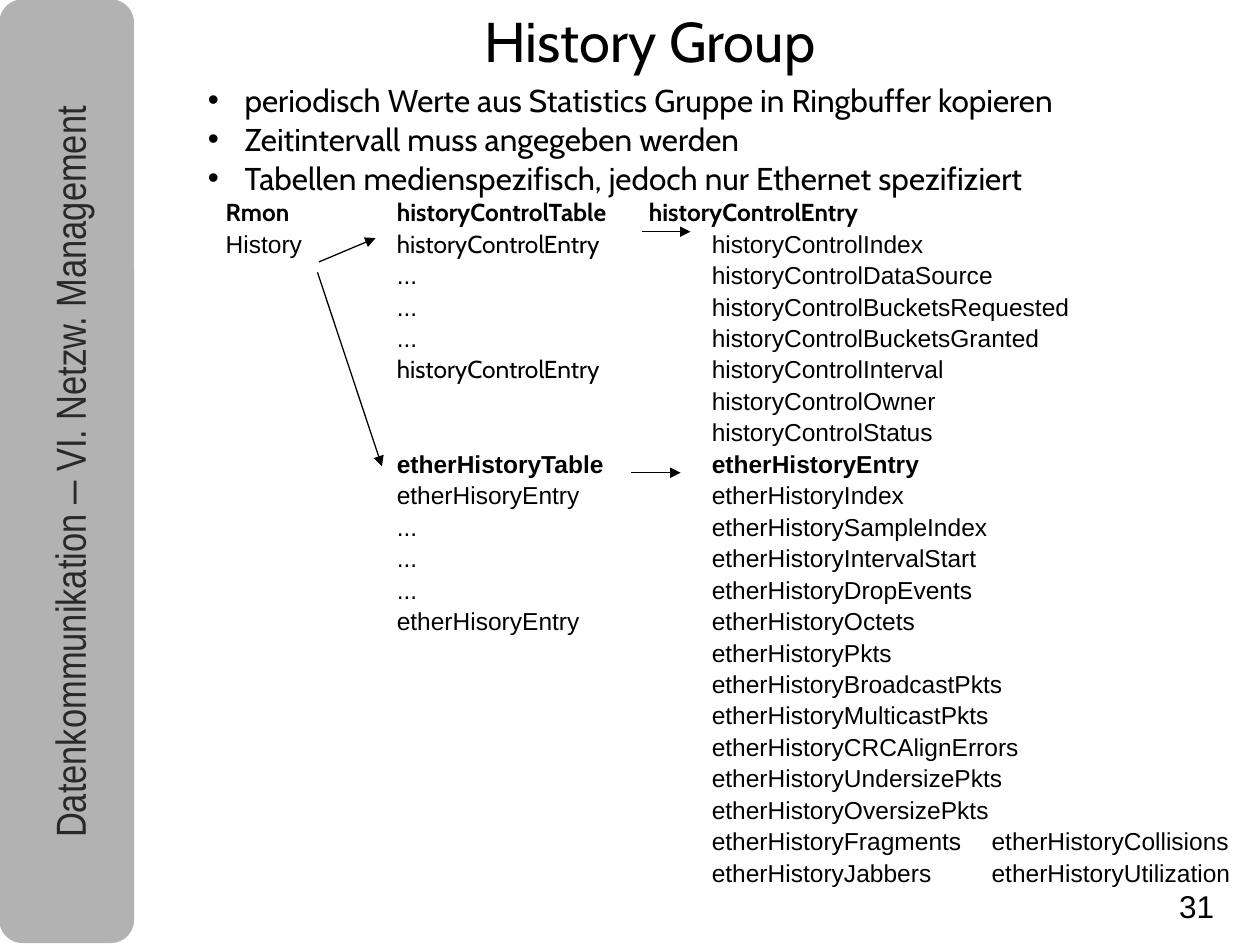
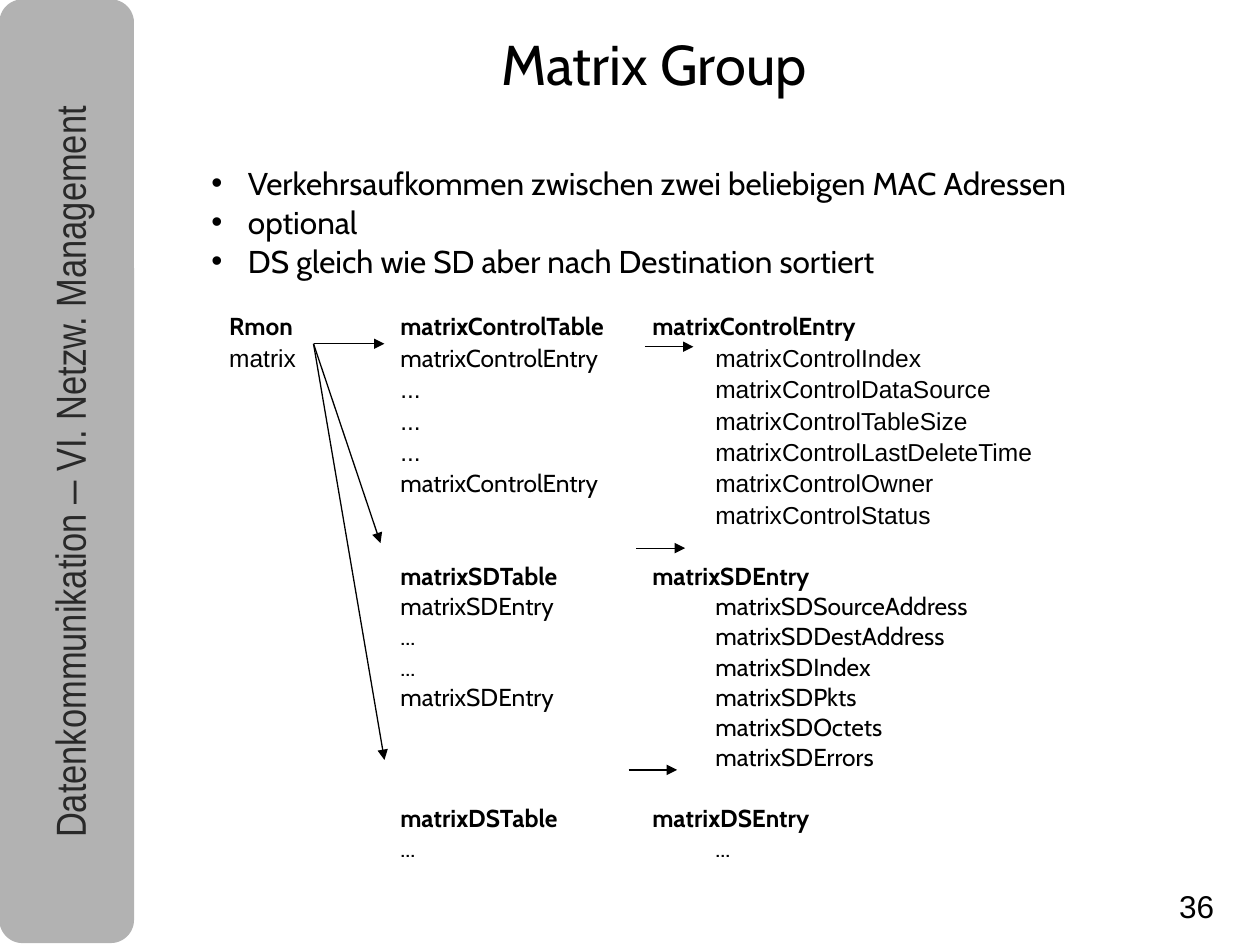
"""Builds two slides on RMON groups: bullets, tabbed table columns and arrows."""
import dataclasses
import itertools

import lxml.etree
import pptx
import pptx.dml.color
import pptx.enum.shapes
import pptx.enum.text
import pptx.oxml.ns
import pptx.util

Cm = pptx.util.Cm
Pt = pptx.util.Pt
ALIGN = pptx.enum.text.PP_ALIGN

CABIN, ARIAL, NARROW = "Cabin", "Arial", "Arial Narrow"
BLACK, GREY, DARK_GREY = "000000", "B2B2B2", "292929"
LINE_SPACING = {CABIN: 1.03, ARIAL: 1.07}
SLIDE_WIDTH, SLIDE_HEIGHT = 25.4, 19.05
BAND_WIDTH, BAND_HEIGHT = 2.69, 19
BULLET_INDENT = 0.74
# Columns: label, table, entry heading, entry, second entry
COLUMN_STOPS = (0.36, 3.81, 8.89, 10.16, 15.8)
GROUP_GAP = 17.5
DOTS = "..."


@dataclasses.dataclass
class Group:
    """A bold heading row with the table lines and entry lines below it."""
    heading: str
    table_lines: list
    entries: list
    name_font: str = CABIN
    entry_font: str = ARIAL
    label: str = ""
    gap: float = 0


def color(hex_string):
    """Turn a hex string into a colour."""
    return pptx.dml.color.RGBColor.from_string(hex_string)


def add_element(parent, tag, **attributes):
    """Append a drawing element with the given attributes."""
    element = lxml.etree.SubElement(parent, pptx.oxml.ns.qn(tag))
    for name, value in attributes.items():
        element.set(name, str(value))
    return element


def write(paragraph, text, font=CABIN, size=14, bold=False, hex_color=BLACK):
    """Add a formatted run to a paragraph."""
    run = paragraph.add_run()
    run.text = text
    run.font.name = font
    run.font.size = Pt(size)
    run.font.bold = bold
    run.font.color.rgb = color(hex_string=hex_color)


def add_text_box(slide, left, top, width, height, margins=(0.25, 0.13), wrap=True):
    """Add an empty text box and return its shape."""
    shape = slide.shapes.add_textbox(Cm(left), Cm(top), Cm(width), Cm(height))
    frame = shape.text_frame
    frame.word_wrap = wrap
    frame.margin_left = frame.margin_right = Cm(margins[0])
    frame.margin_top = frame.margin_bottom = Cm(margins[1])
    return shape


def add_band(slide):
    """Add the grey band at the left with the rotated chapter name."""
    band = slide.shapes.add_shape(
        pptx.enum.shapes.MSO_SHAPE.ROUNDED_RECTANGLE,
        0, 0, Cm(BAND_WIDTH), Cm(BAND_HEIGHT))
    band.adjustments[0] = 0.17
    band.shadow.inherit = False
    band.fill.solid()
    band.fill.fore_color.rgb = color(GREY)
    band.line.color.rgb = color(GREY)
    band.line.width = Pt(0.74)

    chapter = add_text_box(slide, -7.44, 8.26, BAND_HEIGHT, 2.51)
    chapter.rotation = 270
    paragraph = chapter.text_frame.paragraphs[0]
    paragraph.alignment = ALIGN.CENTER
    paragraph.line_spacing = 0.98
    paragraph.space_before = Pt(13)
    for text, font in (("Datenkommunikation ", NARROW), ("–", ARIAL),
                       (" VI. Netzw. Management", NARROW)):
        write(paragraph, text, font=font, size=24, hex_color=DARK_GREY)


def add_title(slide, text, left, top, width):
    """Add the slide title."""
    frame = add_text_box(slide, left, top, width, 1.6, wrap=False).text_frame
    frame.vertical_anchor = pptx.enum.text.MSO_ANCHOR.MIDDLE
    frame.paragraphs[0].alignment = ALIGN.CENTER
    write(frame.paragraphs[0], text, size=32)


def add_page_number(slide, number):
    """Add the page number at the bottom right."""
    shape = add_text_box(slide, 23.77, 17.91, 1.27, 0.84, margins=(0, 0))
    paragraph = shape.text_frame.paragraphs[0]
    paragraph.line_spacing = 0.99
    write(paragraph, str(number), font=ARIAL, size=18)


def add_bullets(frame, bullets):
    """Fill a new text frame with bulleted paragraphs."""
    for index, text in enumerate(bullets):
        paragraph = frame.add_paragraph() if index else frame.paragraphs[0]
        paragraph.line_spacing = LINE_SPACING[CABIN] if index else 1.0
        properties = paragraph._p.get_or_add_pPr()
        properties.set("marL", str(Cm(BULLET_INDENT)))
        properties.set("indent", str(-Cm(BULLET_INDENT)))
        bullet_color = add_element(properties, "a:buClr")
        add_element(bullet_color, "a:srgbClr", val=BLACK)
        add_element(properties, "a:buFont", typeface=ARIAL)
        add_element(properties, "a:buChar", char="•")
        write(paragraph, text, size=18)


def add_row(frame, font):
    """Add a paragraph that has the column tab stops."""
    paragraph = frame.add_paragraph()
    paragraph.line_spacing = LINE_SPACING[font]
    tabs = add_element(paragraph._p.get_or_add_pPr(), "a:tabLst")
    for stop in COLUMN_STOPS:
        add_element(tabs, "a:tab", pos=Cm(stop), algn="l")
    return paragraph


def add_group(frame, group):
    """Add the heading row of a group and the rows below it."""
    heading = add_row(frame, group.name_font)
    heading.space_before = Pt(group.gap)
    write(heading, group.heading, font=group.name_font, bold=True)
    lines = itertools.zip_longest(group.table_lines, group.entries, fillvalue="")
    for index, (table_line, entry) in enumerate(lines):
        row = add_row(frame, group.entry_font)
        label = group.label if index == 0 else ""
        table_font = group.entry_font if table_line == DOTS else group.name_font
        write(row, f"\t{label}\t", font=group.entry_font)
        if table_line:
            write(row, table_line, font=table_font)
        write(row, f"\t\t{entry}", font=group.entry_font)


def add_body(slide, left, top, width, bullets, groups):
    """Add the bullets and the groups in one box down to the slide's end."""
    frame = add_text_box(slide, left, top, width, SLIDE_HEIGHT - top).text_frame
    add_bullets(frame, bullets)
    for group in groups:
        add_group(frame, group)


def add_arrow(slide, start, end):
    """Add a thin black arrow between two points."""
    connector = slide.shapes.add_connector(
        pptx.enum.shapes.MSO_CONNECTOR.STRAIGHT,
        Cm(start[0]), Cm(start[1]), Cm(end[0]), Cm(end[1]))
    connector.line.color.rgb = color(BLACK)
    connector.line.width = Pt(0.74)
    add_element(connector.line._get_or_add_ln(), "a:tailEnd", type="triangle")
    add_element(connector._element.spPr, "a:effectLst")


def first_to_last(name, dots):
    """List a name, some lines of dots, and the name again."""
    return [name] + [DOTS] * dots + [name]


def prefixed(prefix, endings):
    """Put a prefix before each of the endings."""
    return [prefix + ending for ending in endings.split()]


def add_slide(presentation, number):
    """Add a blank slide with the band and the page number."""
    slide = presentation.slides.add_slide(presentation.slide_layouts[6])
    add_band(slide)
    add_page_number(slide, number)
    return slide


def build_history(presentation):
    """Build the History Group slide."""
    slide = add_slide(presentation, 31)
    add_title(slide, "History Group", 9.37, 0, 7.47)
    ether_entries = prefixed(
        "etherHistory",
        "Index SampleIndex IntervalStart DropEvents Octets Pkts BroadcastPkts "
        "MulticastPkts CRCAlignErrors UndersizePkts OversizePkts")
    ether_entries += ["etherHistoryFragments\tetherHistoryCollisions",
                      "etherHistoryJabbers\tetherHistoryUtilization"]
    add_body(slide, 3.94, 1.5, 21.46, [
        "periodisch Werte aus Statistics Gruppe in Ringbuffer kopieren",
        "Zeitintervall muss angegeben werden",
        "Tabellen medienspezifisch, jedoch nur Ethernet spezifiziert",
    ], [
        Group("\tRmon\thistoryControlTable\thistoryControlEntry",
              first_to_last("historyControlEntry", 3),
              prefixed("historyControl", "Index DataSource BucketsRequested "
                       "BucketsGranted Interval Owner Status"),
              label="History"),
        Group("\t\tetherHistoryTable\t\tetherHistoryEntry",
              first_to_last("etherHisoryEntry", 3), ether_entries,
              name_font=ARIAL),
    ])
    for start, end in (((6.43, 5.28), (7.57, 4.8)), ((12.95, 4.67), (13.92, 4.67)),
                       ((6.4, 5.49), (7.7, 9.4)), ((12.73, 9.53), (13.72, 9.53))):
        add_arrow(slide, start, end)


def build_matrix(presentation):
    """Build the Matrix Group slide."""
    slide = add_slide(presentation, 36)
    add_title(slide, "Matrix Group", 9.68, 0.48, 7.01)
    add_body(slide, 4.01, 3.18, 20.98, [
        "Verkehrsaufkommen zwischen zwei beliebigen MAC Adressen",
        "optional",
        "DS gleich wie SD aber nach Destination sortiert",
    ], [
        Group("\tRmon\tmatrixControlTable\tmatrixControlEntry",
              first_to_last("matrixControlEntry", 3),
              prefixed("matrixControl", "Index DataSource TableSize "
                       "LastDeleteTime Owner Status"),
              label="matrix", gap=GROUP_GAP),
        Group("\t\tmatrixSDTable\tmatrixSDEntry",
              first_to_last("matrixSDEntry", 2),
              prefixed("matrixSD", "SourceAddress DestAddress Index Pkts "
                       "Octets Errors"),
              entry_font=CABIN, gap=GROUP_GAP),
        Group("\t\tmatrixDSTable\tmatrixDSEntry", [DOTS], [DOTS],
              entry_font=CABIN, gap=GROUP_GAP),
    ])
    for end in ((7.75, 6.93), (7.67, 10.95), (7.75, 15.32)):
        add_arrow(slide, (6.32, 6.93), end)
    for left, top in ((13, 6.99), (12.83, 11.05), (12.67, 15.52)):
        add_arrow(slide, (left, top), (left + 0.98, top))


def main():
    """Build and save the presentation."""
    presentation = pptx.Presentation()
    presentation.slide_width = Cm(SLIDE_WIDTH)
    presentation.slide_height = Cm(SLIDE_HEIGHT)
    build_history(presentation)
    build_matrix(presentation)
    presentation.save("out.pptx")


main()
